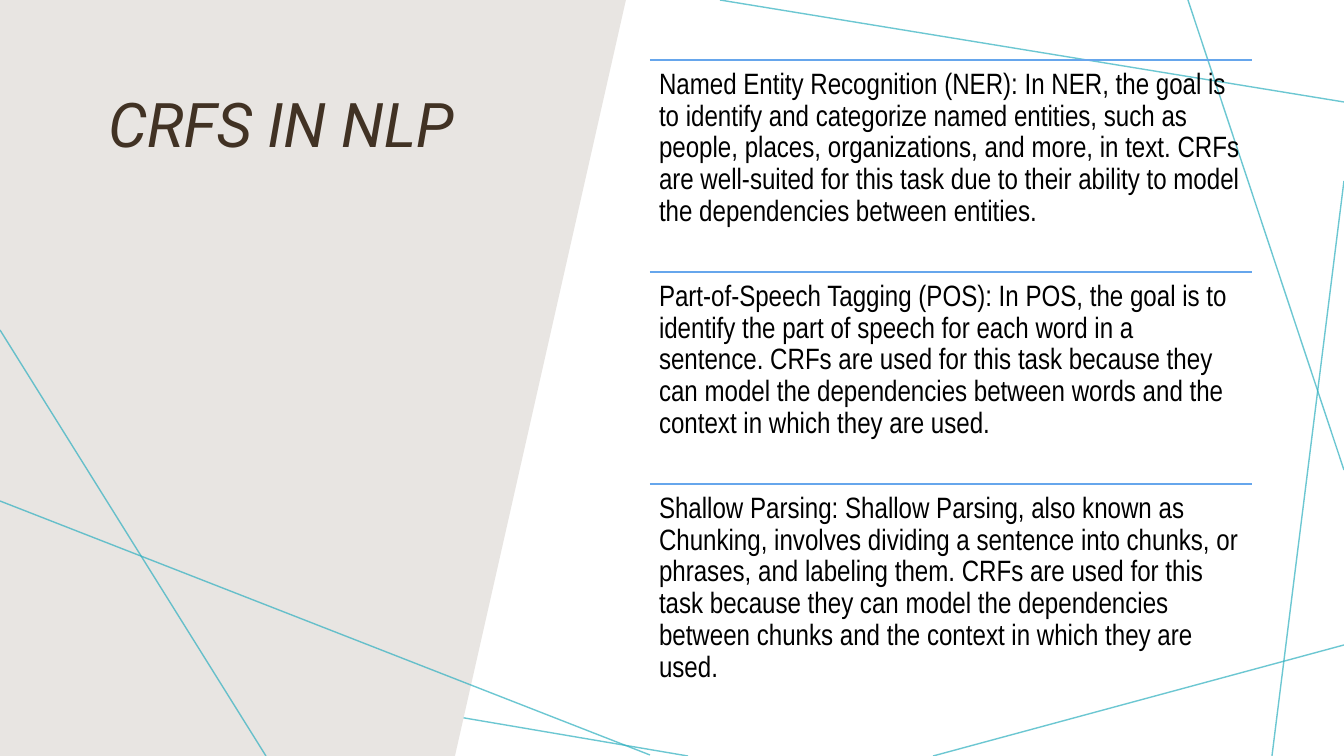
"""Build the slide on conditional random fields in language processing."""
import dataclasses

import lxml.etree
import pptx
import pptx.dml.color
import pptx.enum.shapes
import pptx.enum.text
import pptx.oxml.ns
import pptx.util

PX = 914400 / 100.8


@dataclasses.dataclass(frozen=True)
class Theme:
    background: str = "FFFFFF"
    panel: str = "E8E5E2"
    accent: str = "2FB0C0"
    rule: str = "66A6EC"
    title: str = "413224"
    body: str = "000000"
    title_font: str = "Roboto"
    body_font: str = "Arial Narrow"
    title_size: int = 44
    body_size: int = 21
    line_width: int = 1


def emu(*lengths):
    return [round(n * PX) for n in lengths]


def rgb(color):
    return pptx.dml.color.RGBColor.from_string(color)


class Deck:
    def __init__(self, theme):
        self.theme = theme
        self.prs = pptx.Presentation()
        self.prs.slide_width, self.prs.slide_height = emu(1344, 756)
        self.s = self.prs.slides.add_slide(self.prs.slide_layouts[5])
        fill = self.s.background.fill
        fill.solid()
        fill.fore_color.rgb = rgb(theme.background)

    def line(self, x1, y1, x2, y2, color, opacity=100):
        kind = pptx.enum.shapes.MSO_CONNECTOR.STRAIGHT
        sp = self.s.shapes.add_connector(kind, *emu(x1, y1, x2, y2))
        sp.line.width = pptx.util.Pt(self.theme.line_width)
        sp.line.color.rgb = rgb(color)
        qn = pptx.oxml.ns.qn
        if opacity < 100:
            clr = next(sp.element.iter(qn("a:srgbClr")))
            alpha = lxml.etree.SubElement(clr, qn("a:alpha"))
            alpha.set("val", str(opacity * 1000))
        lxml.etree.SubElement(sp.element.spPr, qn("a:effectLst"))

    def panel(self, points):
        builder = self.s.shapes.build_freeform(*points[0], scale=PX)
        builder.add_line_segments(points[1:], close=True)
        sp = builder.convert_to_shape()
        sp.shadow.inherit = False
        sp.fill.solid()
        sp.fill.fore_color.rgb = rgb(self.theme.panel)
        sp.line.fill.background()

    def add_words(self, sp, text, font, size, color, italic=False):
        tf = sp.text_frame
        tf.word_wrap = True
        tf.auto_size = pptx.enum.text.MSO_AUTO_SIZE.NONE
        tf.vertical_anchor = pptx.enum.text.MSO_ANCHOR.TOP
        p = tf.paragraphs[0]
        p.alignment = pptx.enum.text.PP_ALIGN.LEFT
        p.line_spacing = 0.9
        r = p.add_run()
        r.text = text
        r.font.name = font
        r.font.size = pptx.util.Pt(size)
        r.font.italic = italic
        r.font.color.rgb = rgb(color)

    def title(self, x, y, w, h, text):
        sp = self.s.shapes.title
        sp.left, sp.top, sp.width, sp.height = emu(x, y, w, h)
        self.s.shapes.element.append(sp.element)
        t = self.theme
        self.add_words(sp, text, t.title_font, t.title_size, t.title, True)

    def text(self, x, y, w, h, text):
        sp = self.s.shapes.add_textbox(*emu(x, y, w, h))
        tf = sp.text_frame
        inset = emu(9)[0]
        tf.margin_left = tf.margin_right = inset
        tf.margin_top = tf.margin_bottom = inset
        t = self.theme
        self.add_words(sp, text, t.body_font, t.body_size, t.body)


BACK_LINES = [
    (688, 756, 0, 639),
    (1344, 645, 933, 756),
    (1344, 181, 1272, 756),
    (1344, 470, 1188, 0),
    (1344, 102, 720, 0),
]
FRONT_LINES = [(650, 755, 0, 501), (266, 756, 0, 330)]
PANEL = [(455, 756), (0, 756), (0, 0), (626, 0)]
TASKS = [
    "Named Entity Recognition (NER): In NER, the goal is to identify and "
    "categorize named entities, such as people, places, organizations, and "
    "more, in text. CRFs are well-suited for this task due to their ability "
    "to model the dependencies between entities.",
    "Part-of-Speech Tagging (POS): In POS, the goal is to identify the part "
    "of speech for each word in a sentence. CRFs are used for this task "
    "because they can model the dependencies between words and the context "
    "in which they are used.",
    "Shallow Parsing: Shallow Parsing, also known as Chunking, involves "
    "dividing a sentence into chunks, or phrases, and labeling them. CRFs "
    "are used for this task because they can model the dependencies between "
    "chunks and the context in which they are used.",
]
TASK_LEFT, TASK_TOP, TASK_WIDTH, TASK_HEIGHT = 650, 60, 602, 212


def main():
    theme = Theme()
    deck = Deck(theme)
    for ends in BACK_LINES:
        deck.line(*ends, theme.accent, 70)
    deck.panel(PANEL)
    deck.title(98, 89, 449, 387, "CRFS IN NLP")
    for ends in FRONT_LINES:
        deck.line(*ends, theme.accent, 70)
    for i, task in enumerate(TASKS):
        top = TASK_TOP + i * TASK_HEIGHT
        deck.line(TASK_LEFT, top, TASK_LEFT + TASK_WIDTH, top, theme.rule)
        deck.text(TASK_LEFT, top, TASK_WIDTH, TASK_HEIGHT, task)
    deck.prs.save("out.pptx")


if __name__ == "__main__":
    main()
